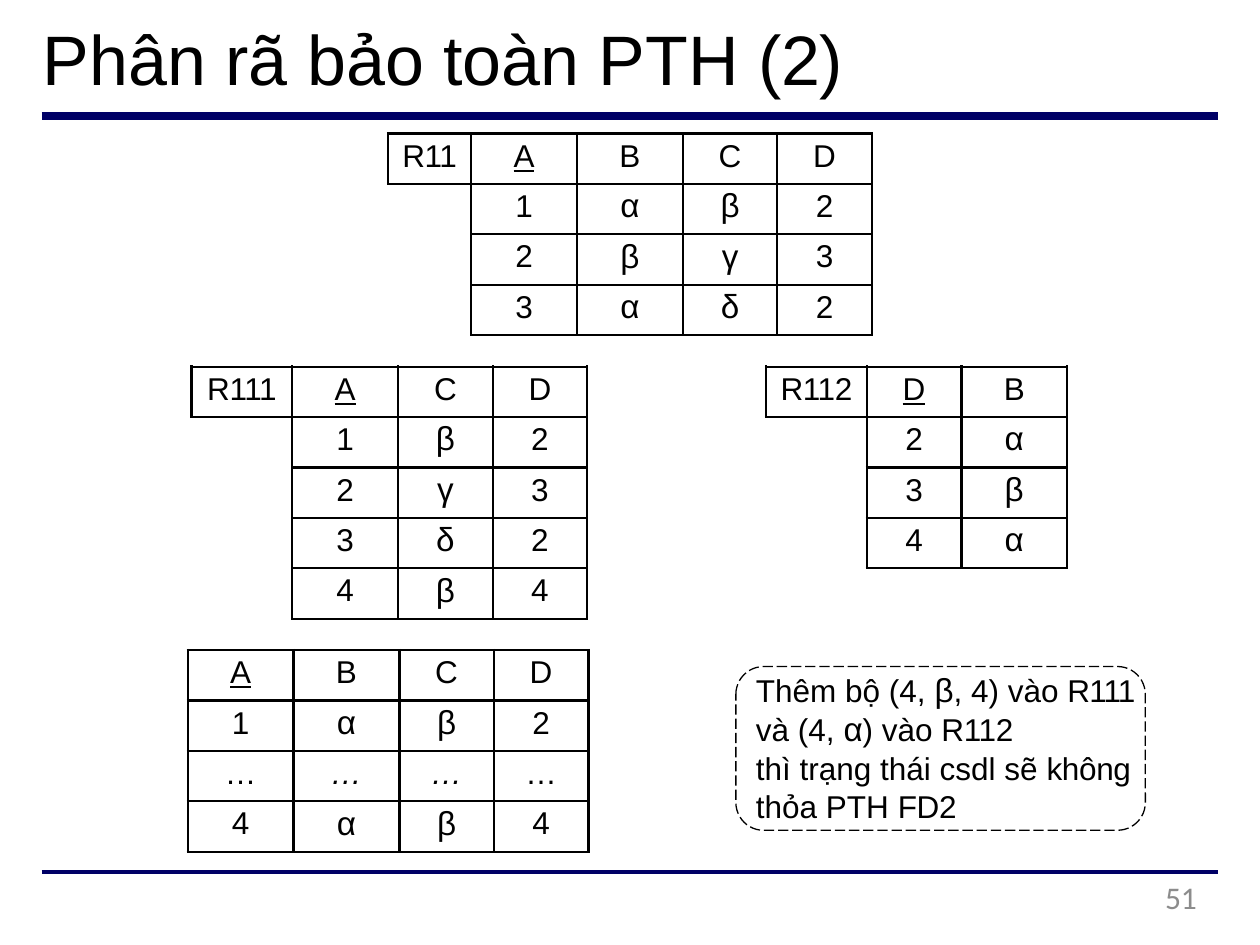
from lxml import etree
from pptx import Presentation
from pptx.dml.color import RGBColor
from pptx.enum.dml import MSO_LINE
from pptx.enum.shapes import MSO_CONNECTOR, MSO_SHAPE
from pptx.enum.text import MSO_ANCHOR, PP_ALIGN
from pptx.oxml import parse_xml
from pptx.oxml.ns import nsdecls, qn
from pptx.util import Inches, Pt

BLACK = RGBColor(0x00, 0x00, 0x00)
NAVY = RGBColor(0x00, 0x00, 0x66)
GRAY = RGBColor(0x8C, 0x8C, 0x8C)
GREEK = "αβγδ"
ROW_HEIGHT = 0.4
COL_WIDTH = {"A": 0.84, "B": 0.84, "C": 0.75, "D": 0.75}


def set_borders(cell, visible):
    """Draw the sides named in visible (letters of LRTB) and clear the others."""
    tcPr = cell._tc.get_or_add_tcPr()
    for side in "LRTB":
        fill = f'<a:solidFill><a:srgbClr val="{BLACK}"/></a:solidFill>' if side in visible else "<a:noFill/>"
        tcPr.append(parse_xml(f'<a:ln{side} {nsdecls("a")} w="{Pt(1.5)}">{fill}</a:ln{side}>'))


def set_margins(target, top):
    target.margin_left = target.margin_right = target.margin_bottom = 0
    target.margin_top = Inches(top)


class Deck:
    def __init__(self, prs, font="Arial", size=18):
        self.font, self.size = font, size
        self.s = prs.slides.add_slide(prs.slide_layouts[5])

    def style(self, r, size=None, color=BLACK, font=None, spc=0):
        """Format a run; spc is the letter spacing in points."""
        r.font.name = font or self.font
        r.font.size = Pt(size or self.size)
        r.font.color.rgb = color
        if spc:
            r._r.get_or_add_rPr().set("spc", str(round(spc * 100)))

    def add_runs(self, p, runs, size=None):
        for text, spc in runs:
            r = p.add_run()
            r.text = text
            self.style(r, size or (19 if text in GREEK else None), spc=spc)

    def title(self, runs, left, top, width, height):
        sp = self.s.shapes.title
        sp.left, sp.top, sp.width, sp.height = map(Inches, (left, top, width, height))
        tf = sp.text_frame
        set_margins(tf, 0.01)
        tf.vertical_anchor = MSO_ANCHOR.TOP
        p = tf.paragraphs[0]
        p.alignment = PP_ALIGN.LEFT
        self.add_runs(p, runs, 40)

    def rule(self, y, weight):
        line = self.s.shapes.add_connector(
            MSO_CONNECTOR.STRAIGHT, Inches(0.33), Inches(y), Inches(9.67), Inches(y))
        line.line.color.rgb = NAVY
        line.line.width = Pt(weight)
        etree.SubElement(line._element.spPr, qn("a:effectLst"))

    def relation(self, left, top, header, rows, name=None, name_width=0.8):
        """Add a relation whose first attribute is the key, with an optional name cell."""
        first = 1 if name else 0
        lines = [list(header)] + [row.split() for row in rows]
        widths = [name_width] * first + [COL_WIDTH[c] for c in header]
        frame = self.s.shapes.add_table(
            len(lines), len(widths), Inches(left), Inches(top),
            Inches(sum(widths)), Inches(ROW_HEIGHT * len(lines)))
        table = frame.table
        table.first_row = table.horz_banding = False
        for column, width in zip(table.columns, widths):
            column.width = Inches(width)
        for i, values in enumerate(lines):
            table.rows[i].height = Inches(ROW_HEIGHT)
            if name:
                values = [name if i == 0 else ""] + values
            for j, value in enumerate(values):
                cell = table.cell(i, j)
                below_name = j < first and i > 0
                set_borders(cell, ("RT" if i == 1 else "R") if below_name else "LRTB")
                cell.fill.background()
                set_margins(cell, 0)
                if value:
                    key = i == 0 and j == first
                    self.cell_text(cell, value, key, j < first)
                    cell.text_frame.paragraphs[0].runs[0].font.italic = value == "…" and 0 < j < 3
        if name:
            table.cell(1, 0).merge(table.cell(len(lines) - 1, 0))

    def cell_text(self, cell, value, key, is_name):
        greek = value in GREEK
        set_margins(cell, 0.03 if greek else 0.04)
        p = cell.text_frame.paragraphs[0]
        p.alignment = PP_ALIGN.CENTER
        p.space_before = Pt(2.4 if greek else 3.2)
        self.add_runs(p, [(value, -0.2 if is_name else -0.5)])
        p.runs[0].font.underline = key

    def dashed_box(self, left, top, width, height):
        sp = self.s.shapes.add_shape(
            MSO_SHAPE.ROUNDED_RECTANGLE, *map(Inches, (left, top, width, height)))
        sp.adjustments[0] = 0.17
        sp.shadow.inherit = False
        sp.fill.background()
        sp.line.color.rgb = BLACK
        sp.line.width = Pt(0.75)
        sp.line.dash_style = MSO_LINE.LONG_DASH

    def text_box(self, left, top, width, height, margin_top=0):
        tf = self.s.shapes.add_textbox(*map(Inches, (left, top, width, height))).text_frame
        tf.word_wrap = True
        set_margins(tf, margin_top)
        return tf

    def note(self, paragraphs, *box):
        tf = self.text_box(*box, margin_top=0.01)
        for i, (spacing, before, runs) in enumerate(paragraphs):
            p = tf.add_paragraph() if i else tf.paragraphs[0]
            p.line_spacing = Pt(spacing)
            p.space_before = Pt(before)
            self.add_runs(p, runs)

    def page_number(self, number, *box):
        p = self.text_box(*box).paragraphs[0]
        p.text = number
        p.alignment = PP_ALIGN.RIGHT
        self.style(p.runs[0], color=GRAY, font="Calibri")


def main():
    prs = Presentation()
    prs.slide_width, prs.slide_height = Inches(10), Inches(7.5)
    deck = Deck(prs)
    deck.rule(0.92, 4.5)
    deck.rule(6.92, 2.25)
    deck.title([("Phân rã bảo toàn PTH ", 0), ("(2)", -0.2)], 0.34, 0.11, 9.23, 0.69)

    deck.relation(3.08, 1.06, "ABCD", ["1 α β 2", "2 β γ 3", "3 α δ 2"], "R11", 0.66)
    deck.relation(1.52, 2.91, "ACD", ["1 β 2", "2 γ 3", "3 δ 2", "4 β 4"], "R111")
    deck.relation(6.08, 2.91, "DB", ["2 α", "3 β", "4 α"], "R112")
    deck.relation(1.49, 5.16, "ABCD", ["1 α β 2", "… … … …", "4 α β 4"])

    deck.dashed_box(5.84, 5.29, 3.25, 1.3)
    deck.note([
        (22.2, 0, [("Thêm bộ (4, ", 0), ("β", 0), (", 4) vào ", 0), ("R111", -0.5)]),
        (22.1, 0, [("và (4, ", 0), ("α", 0), (") vào ", 0), ("R112", -0.2)]),
        (21.6, 0.7, [("thì trạng thái csdl sẽ ", 0), ("không ", -0.2),
                     ("thỏa PTH ", 0), ("FD2", -0.2)]),
    ], 6, 5.31, 3.04, 1.24)
    deck.page_number("51", 7.2, 6.97, 2.3, 0.38)
    prs.save("out.pptx")


if __name__ == "__main__":
    main()
